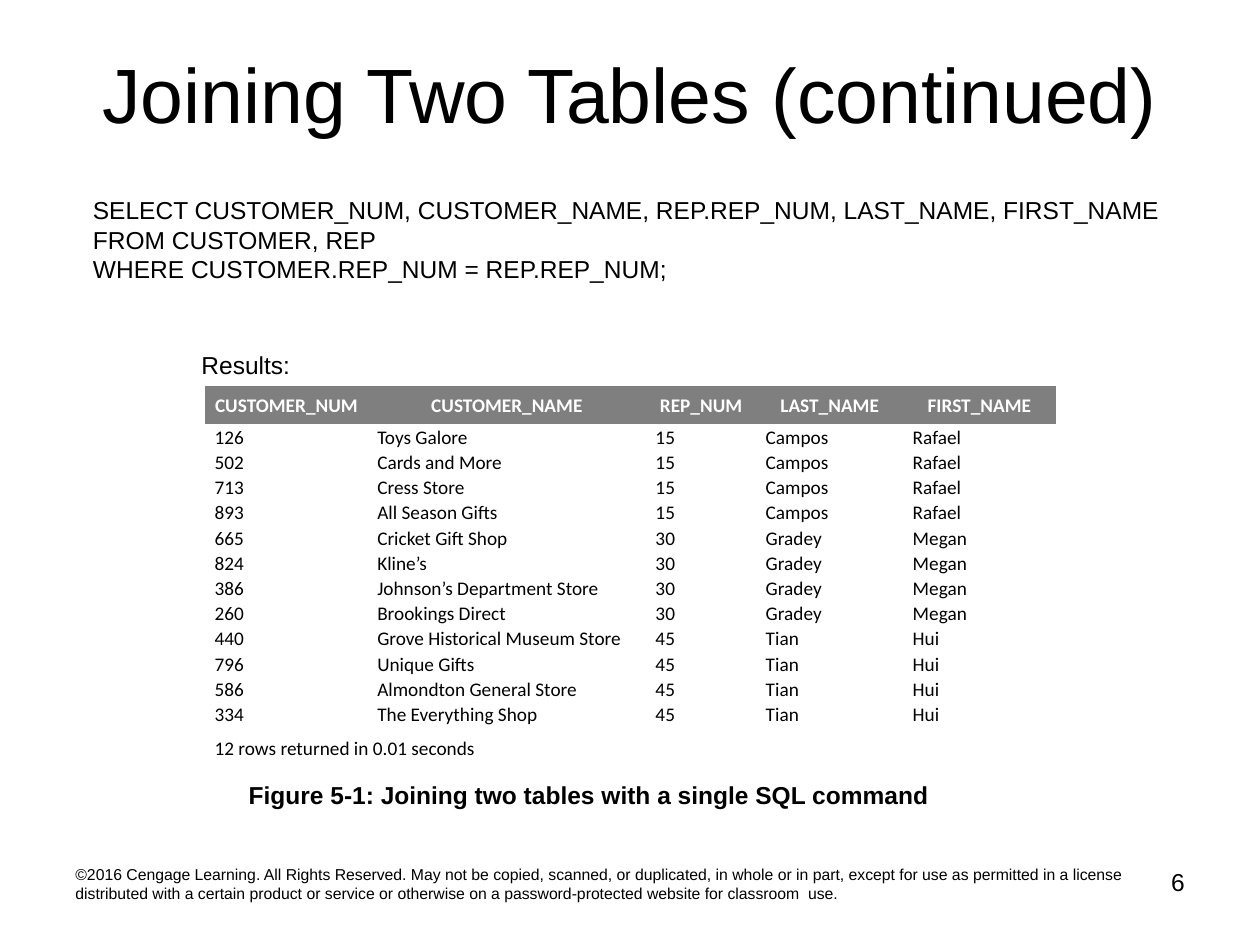
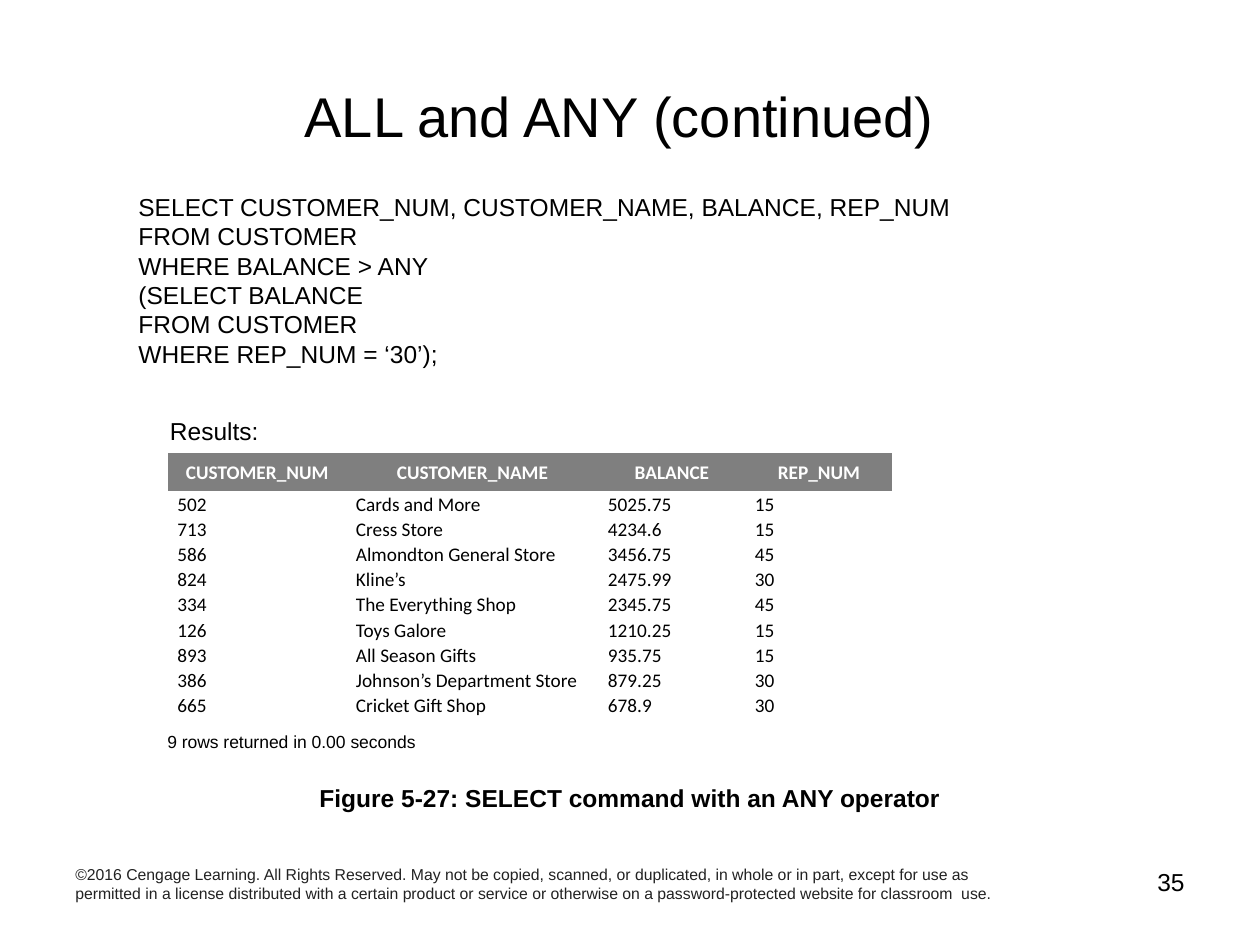
from pptx import Presentation
from pptx.dml.color import RGBColor
from pptx.enum.text import MSO_ANCHOR, MSO_AUTO_SIZE, PP_ALIGN
from pptx.util import Pt

LEFT, CENTER, RIGHT = PP_ALIGN.LEFT, PP_ALIGN.CENTER, PP_ALIGN.RIGHT
MIDDLE = MSO_ANCHOR.MIDDLE
NO_AUTOFIT = MSO_AUTO_SIZE.NONE

BLACK = RGBColor(0x00, 0x00, 0x00)
DARK_GRAY = RGBColor(0x22, 0x22, 0x22)
HEADER_GRAY = RGBColor(0x7F, 0x7F, 0x7F)
WHITE = RGBColor(0xFF, 0xFF, 0xFF)

TEXT_FONT, TABLE_FONT = "Arial", "Calibri"
PLAIN_TABLE_STYLE = "{2D5ABB26-0587-4C30-8999-92F81FD0307C}"
TITLE_ONLY = 5
HEADER_HEIGHT, ROW_HEIGHT, NOTE_HEIGHT = 21.6, 14.4, 24
CELL_MARGIN = 5.4

COPYRIGHT = (
    "©2016 Cengage Learning. All Rights Reserved. May not be copied, scanned, or "
    "duplicated, in whole or in part, except for use as permitted in a license "
    "distributed with a certain product or service or otherwise on a "
    "password-protected website for classroom  use."
)

REPS = {"15": ("Campos", "Rafael"), "30": ("Gradey", "Megan"), "45": ("Tian", "Hui")}

# Customer number: name, rep number
CUSTOMERS = {
    "126": ("Toys Galore", "15"),
    "502": ("Cards and More", "15"),
    "713": ("Cress Store", "15"),
    "893": ("All Season Gifts", "15"),
    "665": ("Cricket Gift Shop", "30"),
    "824": ("Kline’s", "30"),
    "386": ("Johnson’s Department Store", "30"),
    "260": ("Brookings Direct", "30"),
    "440": ("Grove Historical Museum Store", "45"),
    "796": ("Unique Gifts", "45"),
    "586": ("Almondton General Store", "45"),
    "334": ("The Everything Shop", "45"),
}

BALANCES = [
    ("502", "5025.75"),
    ("713", "4234.6"),
    ("586", "3456.75"),
    ("824", "2475.99"),
    ("334", "2345.75"),
    ("126", "1210.25"),
    ("893", "935.75"),
    ("386", "879.25"),
    ("665", "678.9"),
]

# Boxes are left, top, width, height in points.
JOIN_SLIDE = {
    "title": ("Joining Two Tables (continued)", (36, 21.6, 648, 62.6), 44),
    "query": (
        [
            "SELECT CUSTOMER_NUM, CUSTOMER_NAME, REP.REP_NUM, LAST_NAME, FIRST_NAME",
            "FROM CUSTOMER, REP",
            "WHERE CUSTOMER.REP_NUM = REP.REP_NUM;",
        ],
        (46, 108, 628.6, 58.3),
    ),
    "results_at": (108, 196.6),
    "table_at": (117.2, 220.8),
    "columns": [
        ("CUSTOMER_NUM", 93),
        ("CUSTOMER_NAME", 159),
        ("REP_NUM", 63),
        ("LAST_NAME", 84),
        ("FIRST_NAME", 87),
    ],
    "rows": [(num, name, rep, *REPS[rep]) for num, (name, rep) in CUSTOMERS.items()],
    "table_note": "12 rows returned in 0.01 seconds",
    "caption": (
        "Figure 5-1: Joining two tables with a single SQL command",
        (135, 442, 426.2, 24.5),
        LEFT,
    ),
    "copyright": (624, BLACK),
    "number": "6",
}

ANY_SLIDE = {
    "title": ("ALL and ANY (continued)", (30, 21, 648, 90), 32),
    "query": (
        [
            "SELECT CUSTOMER_NUM, CUSTOMER_NAME, BALANCE, REP_NUM",
            "FROM CUSTOMER",
            "WHERE BALANCE > ANY",
            "(SELECT BALANCE",
            "FROM CUSTOMER",
            "WHERE REP_NUM = ‘30’);",
        ],
        (72, 106, 578, 126),
    ),
    "results_at": (90, 234),
    "table_at": (96, 259),
    "columns": [
        ("CUSTOMER_NUM", 102),
        ("CUSTOMER_NAME", 144),
        ("BALANCE", 84),
        ("REP_NUM", 84),
    ],
    "rows": [
        (num, CUSTOMERS[num][0], balance, CUSTOMERS[num][1]) for num, balance in BALANCES
    ],
    "box_note": ("9 rows returned in 0.00 seconds", (88.5, 414, 157, 19.4)),
    "caption": (
        "Figure 5-27: SELECT command with an ANY operator",
        (81, 443.8, 558, 41),
        CENTER,
    ),
    "copyright": (546, DARK_GRAY),
    "number": "35",
}


def place(shape, box):
    shape.left, shape.top, shape.width, shape.height = map(Pt, box)


def style(para, size, color=BLACK, bold=False, align=LEFT, font=TEXT_FONT):
    para.alignment = align
    para.font.name = font
    para.font.size = Pt(size)
    para.font.bold = bold
    para.font.color.rgb = color


def add_text(page, lines, box, size=14, wrap=True, **look):
    frame = page.shapes.add_textbox(*map(Pt, box)).text_frame
    frame.word_wrap = wrap
    frame.text = "\n".join(lines)
    for para in frame.paragraphs:
        style(para, size, **look)


def add_title(page, text, box, size):
    title = page.shapes.title
    place(title, box)
    frame = title.text_frame
    frame.text = text
    frame.auto_size = NO_AUTOFIT
    frame.vertical_anchor = MIDDLE
    style(frame.paragraphs[0], size, align=CENTER)


def fill_cell(cell, text, is_header):
    cell.text = text
    cell.vertical_anchor = MIDDLE
    cell.margin_left = cell.margin_right = Pt(CELL_MARGIN)
    cell.margin_top = cell.margin_bottom = 0
    para = cell.text_frame.paragraphs[0]
    para.line_spacing = 1.07
    if is_header:
        cell.fill.solid()
        cell.fill.fore_color.rgb = HEADER_GRAY
        style(para, 11, WHITE, bold=True, align=CENTER, font=TABLE_FONT)
    else:
        cell.fill.background()
        style(para, 11, font=TABLE_FONT)


def add_results(page, position, columns, rows, note=None):
    """Add the result table; a note becomes a last row merged across all columns."""
    names, widths = zip(*columns)
    lines = [names, *rows]
    heights = [HEADER_HEIGHT] + [ROW_HEIGHT] * len(rows)
    if note:
        lines.append([note] + [""] * (len(names) - 1))
        heights.append(NOTE_HEIGHT)
    box = (*position, sum(widths), sum(heights))
    table = page.shapes.add_table(len(lines), len(names), *map(Pt, box)).table
    table._tbl.tblPr[0].text = PLAIN_TABLE_STYLE
    table.horz_banding = False
    for column, width in zip(table.columns, widths):
        column.width = Pt(width)
    for index, (row, height, line) in enumerate(zip(table.rows, heights, lines)):
        row.height = Pt(height)
        for cell, text in zip(row.cells, line):
            fill_cell(cell, text, is_header=index == 0)
    if note:
        last = len(lines) - 1
        table.cell(last, 0).merge(table.cell(last, len(names) - 1))


def add_footer(page, copyright_width, copyright_color, number):
    add_text(page, [COPYRIGHT], (36, 490.5, copyright_width, 37.5), 9, color=copyright_color)
    add_text(page, [number], (600, 492, 84, 37.5), align=RIGHT)


def add_query_slide(deck, content):
    page = deck.slides.add_slide(deck.slide_layouts[TITLE_ONLY])
    add_title(page, *content["title"])
    add_footer(page, *content["copyright"], content["number"])
    add_text(page, *content["query"])
    add_text(page, ["Results:"], (*content["results_at"], 65.5, 24.5), wrap=False)
    add_results(
        page, content["table_at"], content["columns"], content["rows"], content.get("table_note")
    )
    if "box_note" in content:
        note, box = content["box_note"]
        add_text(page, [note], box, 10, wrap=False)
    caption, box, align = content["caption"]
    add_text(page, [caption], box, bold=True, align=align)


def main():
    deck = Presentation()
    deck.slide_width, deck.slide_height = Pt(720), Pt(540)
    for content in (JOIN_SLIDE, ANY_SLIDE):
        add_query_slide(deck, content)
    deck.save("out.pptx")


if __name__ == "__main__":
    main()
